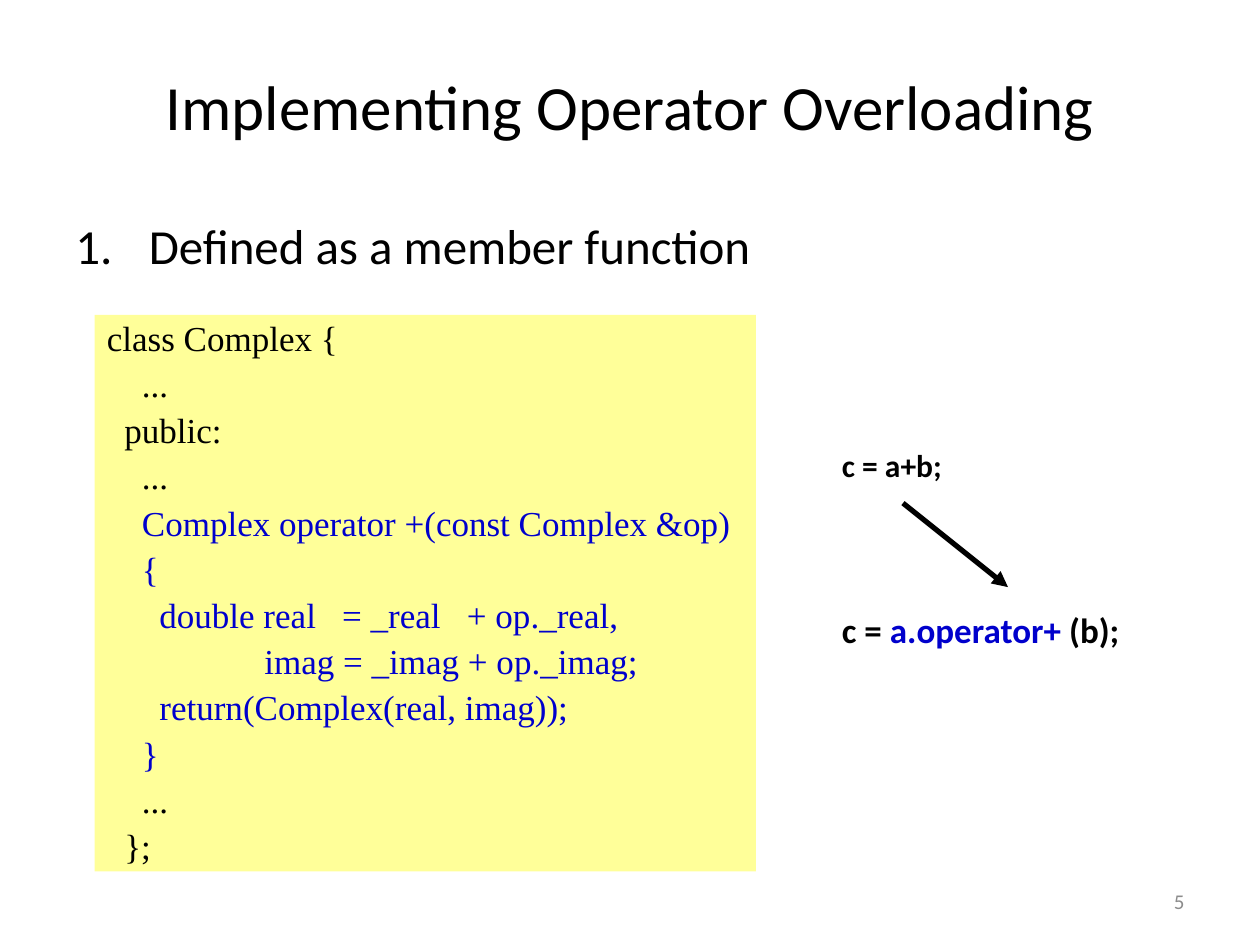
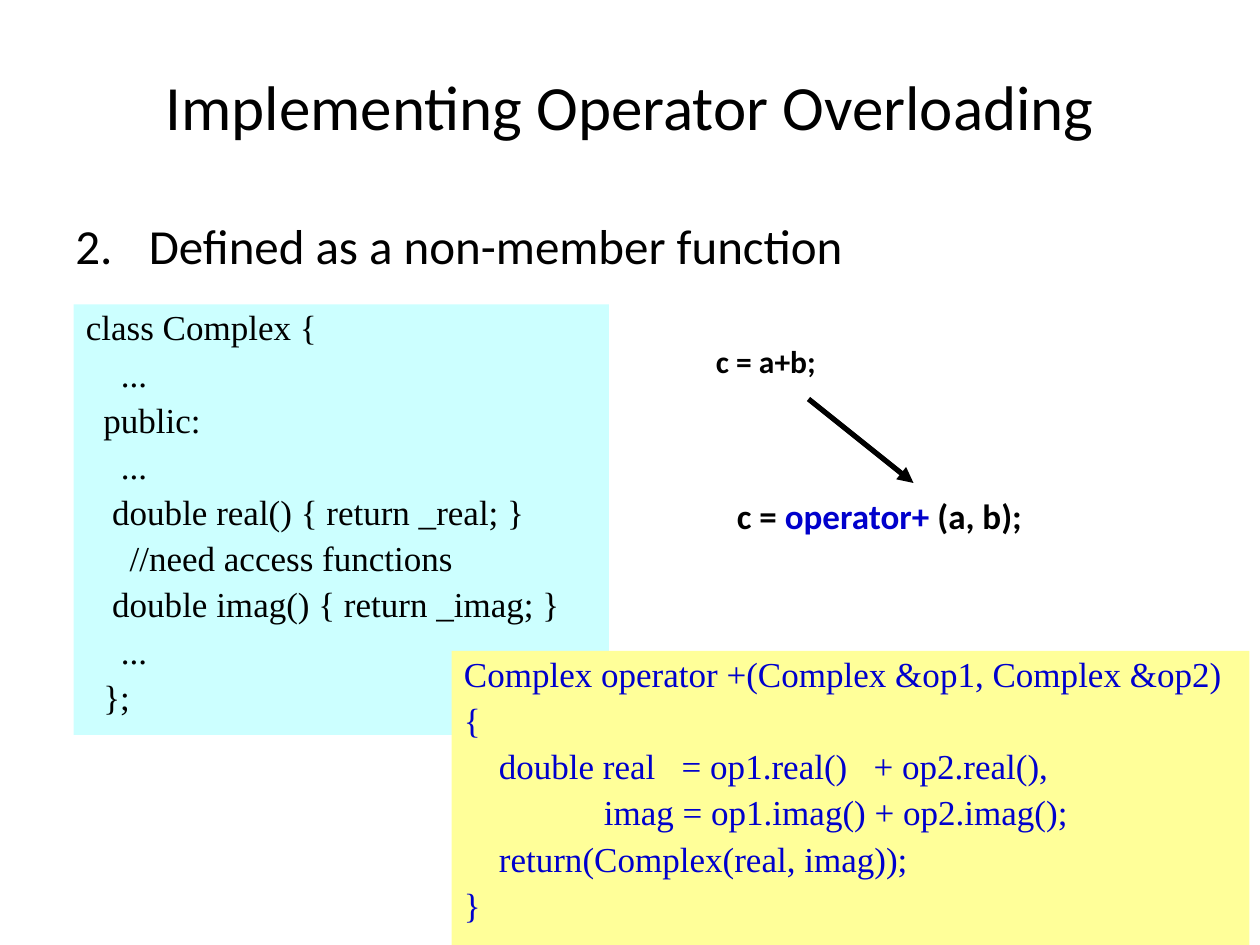
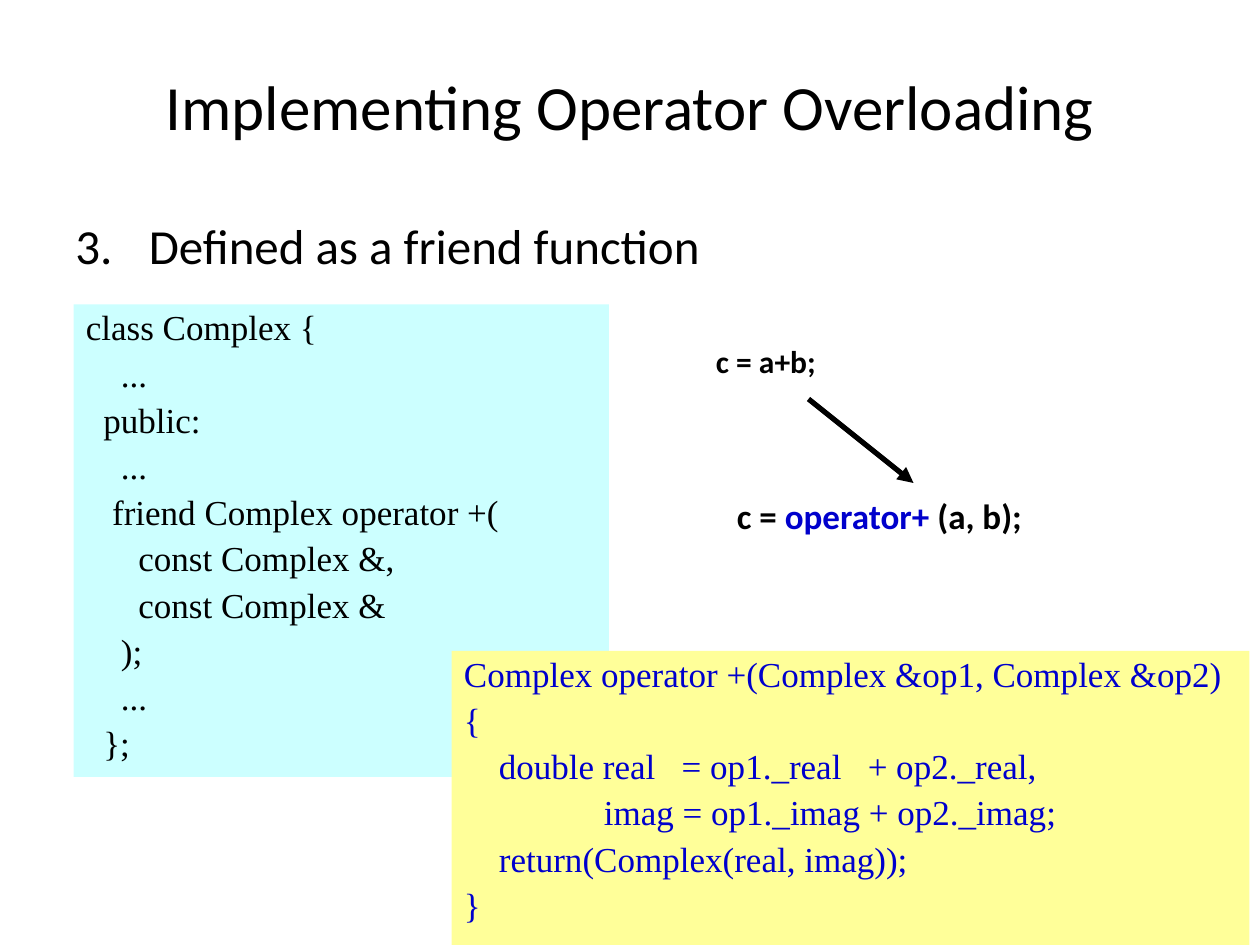
from lxml import etree
from pptx import Presentation
from pptx.dml.color import RGBColor
from pptx.enum.shapes import MSO_CONNECTOR, MSO_SHAPE
from pptx.enum.text import MSO_ANCHOR, MSO_AUTO_SIZE, PP_ALIGN
from pptx.oxml.ns import qn
from pptx.util import Pt

STRAIGHT = MSO_CONNECTOR.STRAIGHT
RECTANGLE = MSO_SHAPE.RECTANGLE
TOP, MIDDLE = MSO_ANCHOR.TOP, MSO_ANCHOR.MIDDLE
LEFT, CENTER, RIGHT = PP_ALIGN.LEFT, PP_ALIGN.CENTER, PP_ALIGN.RIGHT

COLORS = {"ink": "000000", "accent": "0000CC", "number": "8C8C8C",
          "yellow": "FFFF99", "cyan": "CCFFFF"}
BODY_FONT, CODE_FONT = "Calibri", "Times New Roman"

TITLE = "Implementing Operator Overloading"
EXPRESSION = "c = a+b;"
CLASS_HEAD = ["class Complex {", "    ...", "  public:", "    ..."]
CLASS_TAIL = ["    ...", "  };"]

MEMBER_OPERATOR = [
    "    Complex operator +(const Complex &op)",
    "    {",
    "      double real   = _real   + op._real,",
    "                  imag = _imag + op._imag;",
    "      return(Complex(real, imag));",
    "    }",
]
ACCESS_FUNCTIONS = [
    "   double real() { return _real; }",
    "     //need access functions",
    "   double imag() { return _imag; }",
]
FRIEND_DECLARATION = [
    "   friend Complex operator +(",
    "      const Complex &,",
    "      const Complex &",
    "    );",
]


def free_operator(real, imag):
    """Code of operator+ outside the class, reading the two given members."""
    return [
        "Complex operator +(Complex &op1, Complex &op2)",
        "{",
        f"    double real   = op1.{real}   + op2.{real},",
        f"                imag = op1.{imag} + op2.{imag};",
        "    return(Complex(real, imag));",
        "}",
    ]


# Boxes are left, top, width, height in points.
FREE_OPERATOR_BOX = (258, 372, 456, 168)
MEMBER_CALL = {
    "parts": ("a.operator+", " (b);"),
    "expression_box": (474, 251.5, 87, 29),
    "arrow": (516, 287.5, 576, 335.5),
    "call_box": (474, 347, 204, 29),
}
FREE_CALL = {
    "parts": ("operator+", " (a, b);"),
    "expression_box": (402, 192, 87, 29),
    "arrow": (462, 228, 522, 276),
    "call_box": (414, 282, 222, 29),
}

SLIDES = [
    {"heading": "Defined as a member function", "number": "5",
     "class_body": MEMBER_OPERATOR, "body_color": "accent",
     "class_box": (54, 180, 378, 318), "class_fill": "yellow",
     "call": MEMBER_CALL},
    {"heading": "Defined as a non-member function",
     "class_body": ACCESS_FUNCTIONS, "body_color": "ink",
     "class_box": (42, 174, 306, 246), "class_fill": "cyan",
     "operator": free_operator("real()", "imag()"), "call": FREE_CALL},
    {"heading": "Defined as a friend function",
     "class_body": FRIEND_DECLARATION, "body_color": "ink",
     "class_box": (42, 174, 306, 270), "class_fill": "cyan",
     "operator": free_operator("_real", "_imag"), "call": FREE_CALL},
]


def rgb(name):
    return RGBColor.from_string(COLORS[name])


def points(values):
    return [Pt(value) for value in values]


def add_run(paragraph, text, size, color="ink", font=BODY_FONT, bold=False):
    run = paragraph.add_run()
    run.text = text
    run.font.name, run.font.size, run.font.bold = font, Pt(size), bold
    run.font.color.rgb = rgb(color)


def set_hanging(paragraph, indent):
    properties = paragraph._p.get_or_add_pPr()
    properties.set("marL", str(Pt(indent)))
    properties.set("indent", str(-Pt(indent)))
    return properties


def add_label(slide, box, anchor=TOP):
    """Add an empty wrapping text box and return its first paragraph."""
    frame = slide.shapes.add_textbox(*points(box)).text_frame
    frame.word_wrap = True
    frame.vertical_anchor = anchor
    return frame.paragraphs[0]


def add_title(slide):
    title = slide.shapes.title
    title.left, title.top, title.width, title.height = points((0, 30, 720, 60))
    frame = title.text_frame
    frame.auto_size = MSO_AUTO_SIZE.NONE
    frame.vertical_anchor = MIDDLE
    frame.paragraphs[0].alignment = CENTER
    add_run(frame.paragraphs[0], TITLE, 36)


def add_heading(slide, text, position):
    paragraph = add_label(slide, (36, 126, 648, 36))
    numbering = etree.SubElement(set_hanging(paragraph, 42), qn("a:buAutoNum"))
    numbering.set("type", "arabicPeriod")
    numbering.set("startAt", str(position))
    paragraph.line_spacing = 0.8
    add_run(paragraph, text, 28)


def add_code(slide, box, fill, sections):
    """Draw a filled listing from (color, lines) sections."""
    panel = slide.shapes.add_shape(RECTANGLE, *points(box))
    panel.shadow.inherit = False
    panel.fill.solid()
    panel.fill.fore_color.rgb = rgb(fill)
    panel.line.fill.background()
    frame = panel.text_frame
    frame.word_wrap = True
    frame.vertical_anchor = TOP
    code = [(color, line) for color, lines in sections for line in lines]
    for index, (color, line) in enumerate(code):
        paragraph = frame.add_paragraph() if index else frame.paragraphs[0]
        set_hanging(paragraph, 27)
        paragraph.alignment = LEFT
        paragraph.line_spacing = 0.9
        paragraph.space_before = Pt(4.8 if index else 0)
        add_run(paragraph, line, 20, color, CODE_FONT)


def add_arrow(slide, ends):
    arrow = slide.shapes.add_connector(STRAIGHT, *points(ends))
    arrow.line.color.rgb = rgb("ink")
    arrow.line.width = Pt(3)
    etree.SubElement(arrow.line._get_or_add_ln(), qn("a:tailEnd")).set("type", "triangle")
    etree.SubElement(arrow._element.spPr, qn("a:effectLst"))


def add_call(slide, call):
    """Show how the expression turns into an operator call."""
    add_run(add_label(slide, call["expression_box"]), EXPRESSION, 18, bold=True)
    add_arrow(slide, call["arrow"])
    paragraph = add_label(slide, call["call_box"])
    paragraph.line_spacing = 0.9
    function, arguments = call["parts"]
    for text, color in (("c = ", "ink"), (function, "accent"), (arguments, "ink")):
        add_run(paragraph, text, 20, color, bold=True)


def add_number(slide, number):
    paragraph = add_label(slide, (516, 500.5, 168, 28.75), MIDDLE)
    paragraph.alignment = RIGHT
    add_run(paragraph, number, 12, "number")


def main():
    deck = Presentation()
    deck.slide_width, deck.slide_height = Pt(720), Pt(540)
    title_only = deck.slide_layouts[5]
    for position, content in enumerate(SLIDES, start=1):
        slide = deck.slides.add_slide(title_only)
        add_title(slide)
        add_heading(slide, content["heading"], position)
        add_code(slide, content["class_box"], content["class_fill"],
                 [("ink", CLASS_HEAD),
                  (content["body_color"], content["class_body"]),
                  ("ink", CLASS_TAIL)])
        if "operator" in content:
            add_code(slide, FREE_OPERATOR_BOX, "yellow",
                     [("accent", content["operator"])])
        add_call(slide, content["call"])
        if "number" in content:
            add_number(slide, content["number"])
    deck.save("out.pptx")


if __name__ == "__main__":
    main()
